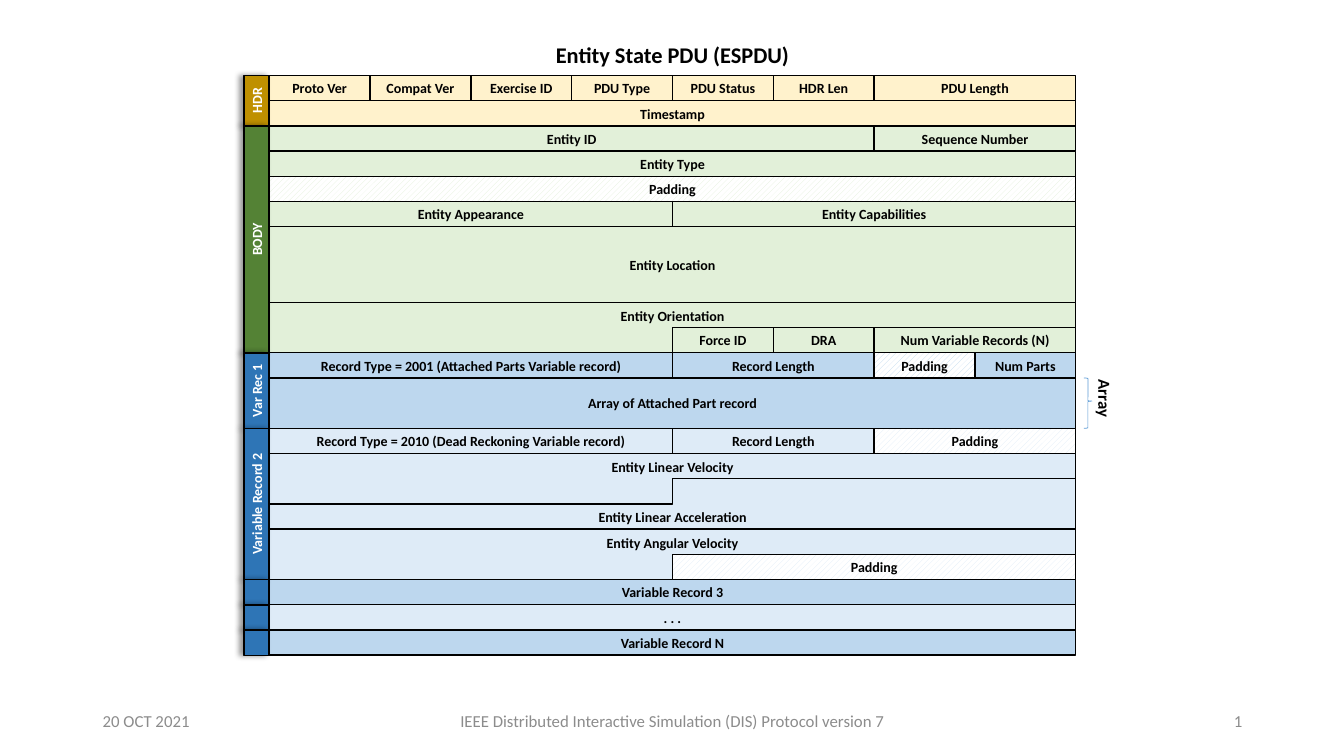
from lxml.etree import SubElement
from pptx import Presentation
from pptx.dml.color import RGBColor
from pptx.enum.dml import MSO_PATTERN
from pptx.enum.shapes import MSO_SHAPE
from pptx.enum.text import MSO_ANCHOR, MSO_AUTO_SIZE, PP_ALIGN
from pptx.oxml.ns import qn
from pptx.util import Inches, Pt

BLACK = RGBColor(0x00, 0x00, 0x00)
WHITE = RGBColor(0xFF, 0xFF, 0xFF)
GRAY = RGBColor(0x8C, 0x8C, 0x8C)
CREAM = RGBColor(0xFF, 0xF2, 0xCC)
GOLD = RGBColor(0xBF, 0x90, 0x00)
PALE_GREEN = RGBColor(0xE2, 0xF0, 0xD9)
GREEN = RGBColor(0x54, 0x82, 0x35)
LIGHT_BLUE = RGBColor(0xBD, 0xD7, 0xEE)
PALE_BLUE = RGBColor(0xDE, 0xEB, 0xF7)
BLUE = RGBColor(0x2E, 0x75, 0xB6)
BRACE_BLUE = RGBColor(0x5B, 0x9B, 0xD5)

LEFT, TOP, ROW = 2.67, 0.75, 0.25

HEADER_FIELDS = [
    (0, 0, 1, 1, "Proto Ver"),
    (0, 1, 1, 1, "Compat Ver"),
    (0, 2, 1, 1, "Exercise ID"),
    (0, 3, 1, 1, "PDU Type"),
    (0, 4, 1, 1, "PDU Status"),
    (0, 5, 1, 1, "HDR Len"),
    (0, 6, 2, 1, "PDU Length"),
    (1, 0, 8, 1, "Timestamp"),
]
BODY_FIELDS = [
    (2, 0, 6, 1, "Entity ID"),
    (2, 6, 2, 1, "Sequence Number"),
    (3, 0, 8, 1, "Entity Type"),
    (4, 0, 8, 1, "Padding"),
    (5, 0, 4, 1, "Entity Appearance"),
    (5, 4, 4, 1, "Entity Capabilities"),
    (6, 0, 8, 3, "Entity Location"),
    (9, 0, 8, 2, "Entity Orientation"),
    (10, 4, 1, 1, "Force ID"),
    (10, 5, 1, 1, "DRA"),
    (10, 6, 2, 1, "Num Variable Records (N)"),
]
PARTS_FIELDS = [
    (11, 0, 4, 1, "Record Type = 2001 (Attached Parts Variable record)"),
    (11, 4, 2, 1, "Record Length"),
    (11, 6, 1, 1, "Padding"),
    (11, 7, 1, 1, "Num Parts"),
    (12, 0, 8, 2, "Array of Attached Part record"),
    (20, 0, 8, 1, "Variable Record 3"),
    (22, 0, 8, 1, "Variable Record N"),
]
RECKONING_FIELDS = [
    (14, 0, 4, 1, "Record Type = 2010 (Dead Reckoning Variable record)"),
    (14, 4, 2, 1, "Record Length"),
    (14, 6, 2, 1, "Padding"),
    (15, 0, 8, 2, "Entity Linear Velocity"),
    (16, 0, 8, 2, "Entity Linear Acceleration"),
    (18, 0, 8, 2, "Entity Angular Velocity"),
    (19, 4, 4, 1, "Padding"),
    (21, 0, 8, 1, ". . ."),
]
GROUPS = [
    (CREAM, HEADER_FIELDS),
    (PALE_GREEN, BODY_FIELDS),
    (LIGHT_BLUE, PARTS_FIELDS),
    (PALE_BLUE, RECKONING_FIELDS),
]
SECTIONS = [
    (0, 2, "HDR", GOLD),
    (2, 9, "BODY", GREEN),
    (11, 3, "Var Rec 1", BLUE),
    (14, 6, "Variable Record 2", BLUE),
    (20, 1, "", BLUE),
    (21, 1, "", BLUE),
    (22, 1, "", BLUE),
]
TOP_MARGINS = {"Entity Linear Acceleration": ROW}
TOP_ANCHORED = {"Entity Orientation", "Entity Linear Velocity", "Entity Angular Velocity"}
FOOTERS = [
    (0.92, 3, "20 OCT 2021", PP_ALIGN.LEFT),
    (4.42, 4.5, "IEEE Distributed Interactive Simulation (DIS) Protocol version 7", PP_ALIGN.CENTER),
    (9.42, 3, "1", PP_ALIGN.RIGHT),
]


def set_all(obj, values):
    for name, value in values.items():
        setattr(obj, name, value)


def write(sp, text, size=10, color=BLACK, bold=True, align=PP_ALIGN.CENTER,
          anchor=MSO_ANCHOR.MIDDLE, inset=0.0, top_margin=0.0):
    tf = sp.text_frame
    set_all(tf, {
        "word_wrap": True, "auto_size": MSO_AUTO_SIZE.NONE, "vertical_anchor": anchor,
        "margin_top": Inches(top_margin), "margin_bottom": 0,
        "margin_left": Inches(inset), "margin_right": Inches(inset),
    })
    p = tf.paragraphs[0]
    p.alignment = align
    r = p.add_run()
    r.text = text
    set_all(r.font, {"name": "Calibri", "size": Pt(size), "bold": bold})
    r.font.color.rgb = color


def outline(sp, color=BLACK, weight=1):
    sp.shadow.inherit = False
    sp.line.color.rgb = color
    sp.line.width = Pt(weight)
    return sp


def add_box(s, kind, left, top, width, height):
    return s.shapes.add_shape(kind, Inches(left), Inches(top), Inches(width), Inches(height))


def add_stepped_box(s, left, top, width, height):
    middle, right = left + width / 2, left + width
    step, bottom = top + height / 2, top + height
    points = [(middle, step), (middle, top), (right, top), (right, bottom), (left, bottom)]
    builder = s.shapes.build_freeform(Inches(left), Inches(step))
    builder.add_line_segments([(Inches(x), Inches(y)) for x, y in points], close=True)
    return builder.convert_to_shape()


def add_field(s, row, col, cols, rows, text, color):
    place = (LEFT + col, TOP + row * ROW, cols, rows * ROW)
    if text in TOP_MARGINS:
        sp = outline(add_stepped_box(s, *place))
    else:
        sp = outline(add_box(s, MSO_SHAPE.RECTANGLE, *place))
    if text == "Padding":
        sp.fill.patterned()
        sp.fill.pattern = MSO_PATTERN.WIDE_UPWARD_DIAGONAL
        sp.fill.back_color.rgb = WHITE
    else:
        sp.fill.solid()
    sp.fill.fore_color.rgb = color
    if text in TOP_ANCHORED:
        write(sp, text, anchor=MSO_ANCHOR.TOP, top_margin=0.05)
    else:
        write(sp, text, top_margin=TOP_MARGINS.get(text, 0))


def add_left_shadow(sp):
    effects = sp.element.spPr.find(qn("a:effectLst"))
    shadow = SubElement(effects, qn("a:outerShdw"), blurRad=str(Pt(4)), dist=str(Pt(3)),
                        dir="10800000", algn="r", rotWithShape="0")
    color = SubElement(shadow, qn("a:srgbClr"), val=str(BLACK))
    SubElement(color, qn("a:alpha"), val="40000")


def add_section(s, row, rows, text, color):
    length = rows * ROW
    center = TOP + row * ROW + length / 2
    sp = outline(add_box(s, MSO_SHAPE.RECTANGLE, LEFT - (ROW + length) / 2,
                         center - ROW / 2, length, ROW))
    sp.rotation = 270
    sp.fill.solid()
    sp.fill.fore_color.rgb = color
    add_left_shadow(sp)
    if text:
        write(sp, text, color=WHITE)


def add_text(s, left, top, width, height, text, **style):
    sp = s.shapes.add_textbox(Inches(left), Inches(top), Inches(width), Inches(height))
    write(sp, text, **style)
    return sp


def add_title(s, text):
    sp = s.shapes.title
    set_all(sp, {"left": Inches(4.67), "top": Inches(0.42),
                 "width": Inches(4), "height": Inches(0.25)})
    write(sp, text, size=16)


def add_array_mark(s):
    brace = outline(add_box(s, MSO_SHAPE.RIGHT_BRACE, 10.75, 3.75, 0.08, 0.5), BRACE_BLUE, 0.5)
    brace.fill.background()
    brace.adjustments[0] = 0.08
    brace.adjustments[1] = 0.46
    add_text(s, 10.67, 3.83, 0.58, 0.25, "Array", size=12).rotation = 90


def main():
    prs = Presentation()
    set_all(prs, {"slide_width": Inches(13.33), "slide_height": Inches(7.5)})
    s = prs.slides.add_slide(prs.slide_layouts[5])
    add_title(s, "Entity State PDU (ESPDU)")
    for color, fields in GROUPS:
        for field in fields:
            add_field(s, *field, color)
    for section in SECTIONS:
        add_section(s, *section)
    add_array_mark(s)
    for left, width, text, align in FOOTERS:
        add_text(s, left, 6.95, width, 0.4, text, size=12, color=GRAY, bold=False,
                 align=align, inset=0.1)
    prs.save("out.pptx")


if __name__ == "__main__":
    main()
